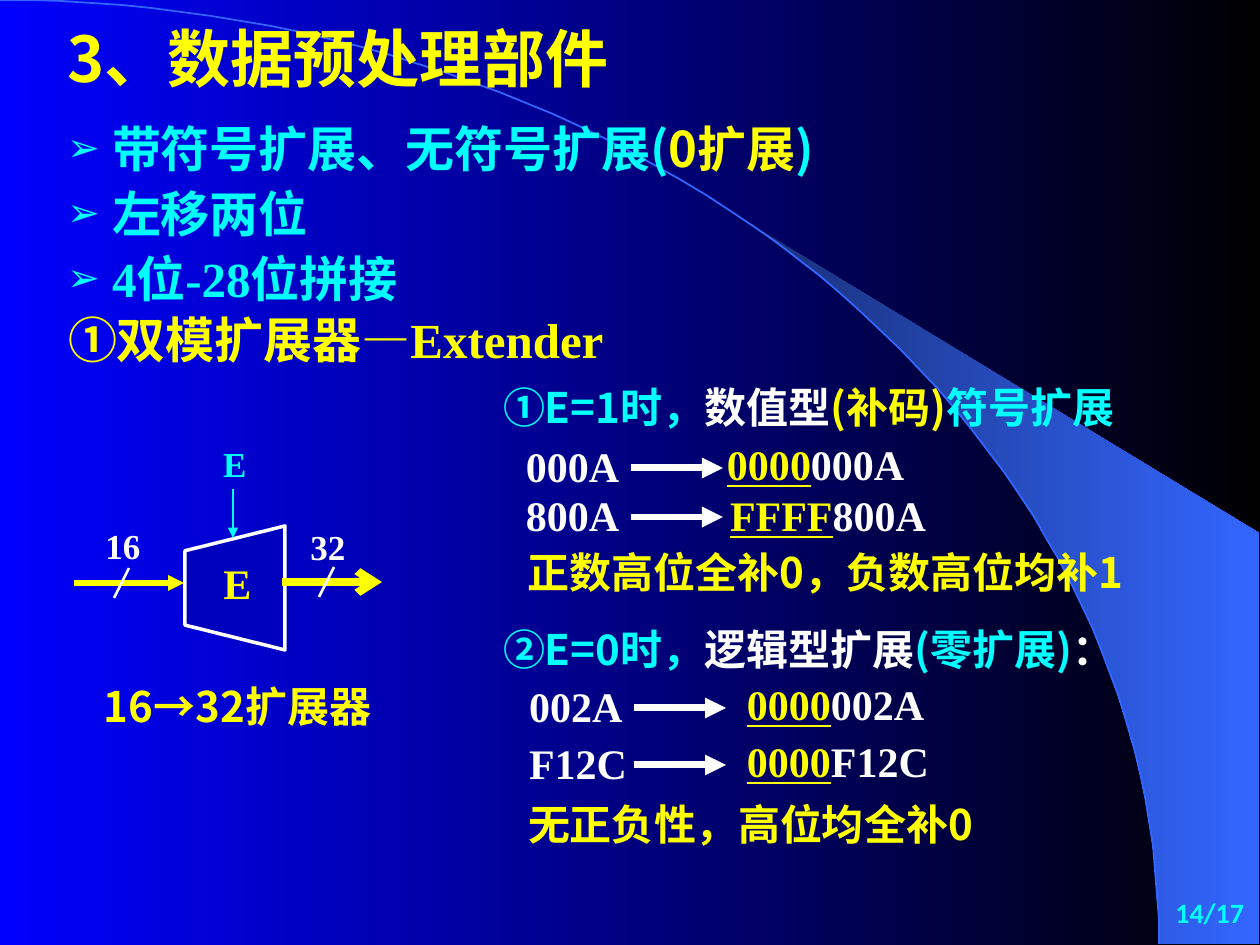
import math
from dataclasses import dataclass

from lxml import etree
from pptx import Presentation
from pptx import util as u
from pptx.dml.color import RGBColor
from pptx.enum import shapes, text
from pptx.oxml.ns import qn

PX = 914400 / 126
W, H = 1260, 945


@dataclass(frozen=True)
class Theme:
    yellow: str = "FFFF00"
    cyan: str = "00FFFF"
    white: str = "FFFFFF"
    blue: str = "0000FF"
    black: str = "000000"
    arc: str = "3366FF"
    wedge: str = "182F76"
    mux: str = "0000BF"
    sans: str = "Noto Sans CJK SC"
    serif: str = "Times New Roman"
    plain: str = "Calibri"
    title: int = 36
    body: int = 28
    text: int = 24
    label: int = 20
    number: int = 16


T = Theme()
SANS = {"font": T.sans}
UNDER = {"underline": True}

# A run is (text, colour) or (text, colour, format)
TITLE = [("3、数据预处理部件", T.yellow)]
BULLETS = [
    [("带符号扩展、无符号扩展", T.cyan), ("(", T.cyan, SANS),
     ("0扩展", T.yellow, SANS), (")", T.cyan, SANS)],
    [("左移两位", T.cyan)],
    [("4位-28位拼接", T.cyan)],
]
SUBTITLE = [("①", T.yellow, SANS), ("双模扩展器", T.yellow),
            ("—", T.yellow, SANS), ("Extender", T.yellow)]

# left, top, width, runs
NOTES = [
    (490, 376, 700, [("①E=1时，", T.cyan), ("数值型", T.white),
                     ("(补码)", T.yellow), ("符号扩展", T.cyan)]),
    (515, 541, 690, [("正数高位全补0，负数高位均补1", T.yellow)]),
    (490, 618, 700, [("②E=0时，", T.cyan), ("逻辑型扩展", T.white),
                     ("(零扩展)", T.cyan), ("：", T.white)]),
    (515, 793, 536, [("无正负性，高位均全补0", T.yellow)]),
]
# left, arrow height, input, result left, result top, upper half
EXAMPLES = [
    (512, 468, "000A", 713, 433, "0000"),
    (512, 517, "800A", 716, 484, "FFFF"),
    (515, 708, "002A", 733, 673, "0000"),
    (515, 765, "F12C", 733, 730, "0000"),
]
# bus width, label left and top, wire start, wire end, height, weight, arrowhead
BUSES = [
    ("16", 72, 518, 74, 184, 583, 3, "triangle"),
    ("32", 277, 519, 282, 382, 582, 4.5, "arrow"),
]


def px(n):
    return u.Emu(round(n * PX))


def rgb(code):
    return RGBColor.from_string(code)


def write(p, runs, size=T.text, font=T.sans, align=text.PP_ALIGN.LEFT):
    p.alignment = align
    for words, color, *extra in runs:
        fmt = {"font": font, "underline": False, **(extra[0] if extra else {})}
        r = p.add_run()
        r.text = words
        f = r.font
        f.size, f.bold, f.name = u.Pt(size), True, fmt["font"]
        f.color.rgb = rgb(color)
        if fmt["underline"]:
            f.underline = True
        latin = r._r.rPr.find(qn("a:latin"))
        latin.addnext(latin.makeelement(qn("a:ea"), {"typeface": T.sans}))


def frame(sp, left, top, width, height, inset=13):
    """Place a text shape and give its frame plain settings."""
    sp.left, sp.top, sp.width, sp.height = map(px, (left, top, width, height))
    tf = sp.text_frame
    tf.word_wrap = True
    tf.auto_size = text.MSO_AUTO_SIZE.NONE
    tf.vertical_anchor = text.MSO_ANCHOR.TOP
    tf.margin_left = tf.margin_right = px(inset)
    tf.margin_top = tf.margin_bottom = px(6)
    return tf


def add_text(s, left, top, width, height, runs, inset=13, **fmt):
    sp = s.shapes.add_textbox(0, 0, 0, 0)
    write(frame(sp, left, top, width, height, inset).paragraphs[0], runs, **fmt)


def add_line(s, x1, y1, x2, y2, color, weight, head=None):
    c = s.shapes.add_connector(shapes.MSO_CONNECTOR.STRAIGHT,
                               px(x1), px(y1), px(x2), px(y2))
    c.line.color.rgb, c.line.width = rgb(color), u.Pt(weight)
    if head:
        etree.SubElement(c.line._get_or_add_ln(), qn("a:tailEnd"), type=head)
    etree.SubElement(c._element.spPr, qn("a:effectLst"))


def gradient(fill, start, end):
    fill.gradient()
    fill.gradient_angle = 0
    for stop, color in zip(fill.gradient_stops, (start, end)):
        stop.color.rgb = rgb(color)


def add_outline(s, points, close):
    b = s.shapes.build_freeform(*points[0], scale=PX)
    b.add_line_segments(points[1:], close=close)
    sp = b.convert_to_shape()
    sp.shadow.inherit = False
    return sp


def arc_points(start, steps=60):
    """Points of the quarter ellipse, from an angle in degrees to its end."""
    rx, ry = 1159, 944
    angles = [math.radians(start + (90 - start) * i / steps) for i in range(steps + 1)]
    return [(round(rx * math.sin(a)), round(ry - ry * math.cos(a))) for a in angles]


def draw_backdrop(s):
    gradient(s.background.fill, T.blue, T.black)
    wedge = add_outline(s, arc_points(39.8) + [(1259, 944), (1259, 533)], True)
    gradient(wedge.fill, T.wedge, T.arc)
    wedge.line.fill.background()
    arc = add_outline(s, arc_points(0), False)
    arc.fill.background()
    arc.line.color.rgb, arc.line.width = rgb(T.arc), u.Pt(1)


def fill_placeholders(s):
    title, body = s.placeholders
    for sp in (title, body):
        s.shapes._spTree.append(sp._element)
    write(frame(title, 54, 14, 655, 88).paragraphs[0], TITLE, T.title)
    tf = frame(body, 5, 107, 1091, 207)
    for i, runs in enumerate(BULLETS):
        p = tf.add_paragraph() if i else tf.paragraphs[0]
        pPr = p._p.get_or_add_pPr()
        pPr.set("marL", str(px(94)))
        pPr.set("indent", str(-px(45)))
        color = etree.SubElement(pPr, qn("a:buClr"))
        etree.SubElement(color, qn("a:srgbClr"), val=T.cyan)
        etree.SubElement(pPr, qn("a:buSzPct"), val="80000")
        etree.SubElement(pPr, qn("a:buChar"), char="➢")
        p.line_spacing, p.space_before = 1.1, u.Pt(0)
        write(p, runs, T.body, T.serif)


def draw_extender(s):
    mid = text.PP_ALIGN.CENTER
    label = {"size": T.label, "font": T.serif, "align": mid, "inset": 14}
    mux = s.shapes.add_shape(shapes.MSO_SHAPE.FLOWCHART_MANUAL_OPERATION,
                             px(173), px(538), px(124), px(100))
    mux.rotation = 90
    mux.shadow.inherit = False
    mux.fill.solid()
    mux.fill.fore_color.rgb = rgb(T.mux)
    mux.line.color.rgb, mux.line.width = rgb(T.white), u.Pt(2)
    for bits, left, top, x1, x2, y, weight, head in BUSES:
        add_line(s, x1, y, x2, y, T.yellow, weight, head)
        center = left + 50
        add_line(s, center + 7, y - 15, center - 8, y + 15, T.white, 1.5)
        add_text(s, left, top, 102, 55, [(bits, T.white)], **label)
    add_text(s, 193, 552, 89, 64, [("E", T.yellow)], 14, font=T.serif, align=mid)
    add_text(s, 84, 675, 307, 64, [("16→32扩展器", T.yellow)], 14, align=mid)
    add_line(s, 233, 489, 233, 538, T.cyan, 1.5, "triangle")
    add_text(s, 184, 436, 102, 55, [("E", T.cyan)], **label)


def draw_examples(s):
    for left, top, width, runs in NOTES:
        add_text(s, left, top, width, 64, runs)
    for left, y, source, x, top, upper in EXAMPLES:
        add_text(s, left, y - 33, 160, 64, [(source, T.white)], 14, font=T.serif)
        add_line(s, left + 119, y, left + 211, y, T.white, 4, "triangle")
        add_text(s, x, top, 248, 64, [(upper, T.yellow, UNDER), (source, T.white)],
                 14, font=T.serif)


def main():
    prs = Presentation()
    prs.slide_width, prs.slide_height = px(W), px(H)
    s = prs.slides.add_slide(prs.slide_layouts[1])
    draw_backdrop(s)
    fill_placeholders(s)
    add_text(s, 54, 304, 714, 73, SUBTITLE, 14, size=T.body, font=T.serif)
    draw_extender(s)
    draw_examples(s)
    add_text(s, 995, 890, 262, 53, [("14/17", T.cyan)], size=T.number,
             font=T.plain, align=text.PP_ALIGN.RIGHT)
    prs.save("out.pptx")


if __name__ == "__main__":
    main()
